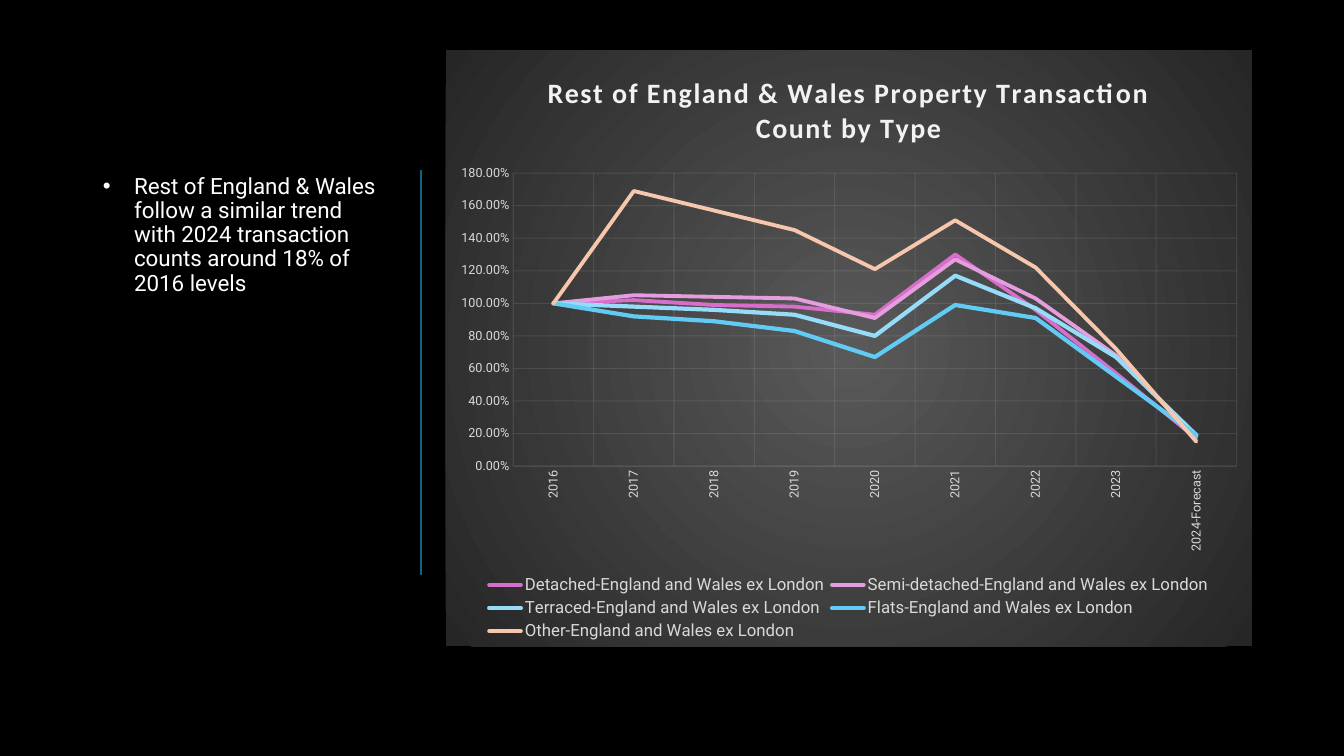
import lxml.etree
import pptx
import pptx.chart.data
import pptx.dml.color
import pptx.enum.chart
import pptx.enum.text
import pptx.oxml
import pptx.oxml.ns
import pptx.util

RGBColor = pptx.dml.color.RGBColor
BLACK = RGBColor(0x00, 0x00, 0x00)
WHITE = RGBColor(0xFF, 0xFF, 0xFF)
RULE_BLUE = RGBColor(0x15, 0x60, 0x82)
PALE = RGBColor(0xF2, 0xF2, 0xF2)
LABEL_GREY = RGBColor(0xD9, 0xD9, 0xD9)

WIDTH = pptx.util.Inches(13.33)
HEIGHT = pptx.util.Inches(7.5)
NOTE_BOX = (0.069, 0.225, 0.225, 0.536)
RULE_BOX = (0.3135, 0.225, 0, 0.535)
CHART_BOX = (0.3315, 0.0667, 0.6, 0.788)
PLOT_AREA = (0.084, 0.206, 0.897, 0.492)
LEGEND_AREA = (0.045, 0.875, 0.91, 0.122)

NOTE = ("Rest of England & Wales follow a similar trend with 2024 "
        "transaction counts around 18% of 2016 levels")
TITLE = "Rest of England & Wales Property Transaction Count by Type"
YEARS = [str(year) for year in range(2016, 2024)] + ["2024-Forecast"]
REGION = "England and Wales ex London"
SERIES = [
    ("Detached", RGBColor(0xD8, 0x6E, 0xCC), 2.75,
     (1, 1.02, 0.99, 0.98, 0.93, 1.3, 0.96, 0.57, 0.17)),
    ("Semi-detached", RGBColor(0xE5, 0x9E, 0xDD), 2.75,
     (1, 1.05, 1.04, 1.03, 0.91, 1.27, 1.03, 0.68, 0.18)),
    ("Terraced", RGBColor(0x96, 0xDC, 0xF8), 3,
     (1, 0.98, 0.96, 0.93, 0.8, 1.17, 0.97, 0.67, 0.19)),
    ("Flats", RGBColor(0x61, 0xCB, 0xF4), 3,
     (1, 0.92, 0.89, 0.83, 0.67, 0.99, 0.91, 0.55, 0.19)),
    ("Other", RGBColor(0xF6, 0xC6, 0xAD), 2.75,
     (1, 1.69, 1.57, 1.45, 1.21, 1.51, 1.22, 0.72, 0.15)),
]


def apply(target, values):
    """Set each attribute named in a dict of format values."""
    for name, value in values.items():
        setattr(target, name, value)


def style_font(font, size, color, name="Roboto", bold=False):
    """Give a font its face, size, weight and colour."""
    apply(font, {"name": name, "size": pptx.util.Pt(size), "bold": bold})
    font.color.rgb = color


def scale(box):
    """Turn shares of the slide into lengths."""
    return [round(share * side)
            for share, side in zip(box, (WIDTH, HEIGHT, WIDTH, HEIGHT))]


def faint_line(line):
    """Draw a thin, mostly transparent pale line."""
    line.width = pptx.util.Pt(0.75)
    line.color.rgb = PALE
    color = next(line._ln.iter(pptx.oxml.ns.qn("a:srgbClr")))
    lxml.etree.SubElement(color, pptx.oxml.ns.qn("a:alpha"), val="10000")


def set_layout(element, position, area, inner=False):
    """Fix a chart part at shares of the chart's size."""
    for old in element.findall(pptx.oxml.ns.qn("c:layout")):
        element.remove(old)
    layout = lxml.etree.Element(pptx.oxml.ns.qn("c:layout"))
    manual = lxml.etree.SubElement(layout, pptx.oxml.ns.qn("c:manualLayout"))
    entries = [("layoutTarget", "inner")] if inner else []
    entries += [("xMode", "edge"), ("yMode", "edge")]
    entries += zip("xywh", map(str, area))
    for tag, value in entries:
        lxml.etree.SubElement(manual, pptx.oxml.ns.qn("c:" + tag), val=value)
    element.insert(position, layout)


def fill_background(chart):
    """Give the chart a radial grey gradient."""
    chart_part = chart._chartSpace.find(pptx.oxml.ns.qn("c:chart"))
    chart_part.addnext(pptx.oxml.parse_xml(
        f'<c:spPr {pptx.oxml.ns.nsdecls("c", "a")}><a:gradFill><a:gsLst>'
        '<a:gs pos="0"><a:srgbClr val="595959"/></a:gs>'
        '<a:gs pos="100000"><a:srgbClr val="262626"/></a:gs></a:gsLst>'
        '<a:path path="circle"><a:fillToRect l="50000" t="50000" r="50000" '
        'b="50000"/></a:path></a:gradFill><a:ln><a:noFill/></a:ln></c:spPr>'))


def add_note(slide, box):
    """Place the bulleted comment in the body placeholder."""
    body = slide.placeholders[1]
    apply(body, dict(zip(("left", "top", "width", "height"), scale(box))))
    body.text_frame.auto_size = pptx.enum.text.MSO_AUTO_SIZE.NONE
    para = body.text_frame.paragraphs[0]
    apply(para, {"line_spacing": 0.9, "space_before": pptx.util.Pt(10)})
    indent = pptx.util.Inches(0.31)
    properties = para._p.get_or_add_pPr()
    properties.set("marL", str(indent))
    properties.set("indent", str(-indent))
    lxml.etree.SubElement(properties, pptx.oxml.ns.qn("a:buFont"), typeface="Arial")
    lxml.etree.SubElement(properties, pptx.oxml.ns.qn("a:buChar"), char="•")
    span = para.add_run()
    span.text = NOTE
    style_font(span.font, 16, WHITE)


def add_rule(slide, box):
    """Draw the vertical line between comment and chart."""
    left, top, width, height = scale(box)
    rule = slide.shapes.add_connector(1, left, top, left + width, top + height)
    rule.line.color.rgb = RULE_BLUE
    rule.line.width = pptx.util.Pt(1.5)
    lxml.etree.SubElement(rule._element.spPr, pptx.oxml.ns.qn("a:effectLst"))


def style_axes(chart):
    """Format both axes and their gridlines."""
    for axis in (chart.category_axis, chart.value_axis):
        apply(axis, {"has_major_gridlines": True,
                     "major_tick_mark": pptx.enum.chart.XL_TICK_MARK.NONE,
                     "minor_tick_mark": pptx.enum.chart.XL_TICK_MARK.NONE})
        faint_line(axis.major_gridlines.format.line)
        style_font(axis.tick_labels.font, 9, LABEL_GREY)
    faint_line(chart.category_axis.format.line)
    text = chart.category_axis._element.find(pptx.oxml.ns.qn("c:txPr"))
    text.find(pptx.oxml.ns.qn("a:bodyPr")).set("rot", "-5400000")
    chart.value_axis.format.line.fill.background()
    apply(chart.value_axis, {"minimum_scale": 0, "maximum_scale": 1.8,
                             "major_unit": 0.2})
    apply(chart.value_axis.tick_labels, {"number_format": "0.00%",
                                         "number_format_is_linked": False})


def add_trend_chart(slide, box):
    """Add the line chart of transactions by property type."""
    data = pptx.chart.data.CategoryChartData(number_format="0.00%")
    data.categories = YEARS
    for kind, color, weight, values in SERIES:
        data.add_series(f"{kind}-{REGION}", values)
    chart = slide.shapes.add_chart(
        pptx.enum.chart.XL_CHART_TYPE.LINE, *scale(box), data).chart
    style_font(chart.font, 10, WHITE)
    fill_background(chart)
    chart.plots[0].vary_by_categories = False
    for series, (kind, color, weight, values) in zip(chart.plots[0].series, SERIES):
        series.smooth = False
        series.marker.style = pptx.enum.chart.XL_MARKER_STYLE.NONE
        series.format.line.color.rgb = color
        series.format.line.width = pptx.util.Pt(weight)
        series.format.line._ln.set("cap", "rnd")
    style_axes(chart)
    chart.has_title = True
    para = chart.chart_title.text_frame.paragraphs[0]
    span = para.add_run()
    span.text = TITLE
    style_font(span.font, 20, PALE, "Calibri", True)
    span.font._element.set("spc", "100")
    chart.has_legend = True
    apply(chart.legend, {"position": pptx.enum.chart.XL_LEGEND_POSITION.BOTTOM,
                         "include_in_layout": False})
    style_font(chart.legend.font, 12, LABEL_GREY)
    set_layout(chart.legend._element, 1, LEGEND_AREA)
    set_layout(chart._chartSpace.chart.plotArea, 0, PLOT_AREA, inner=True)


def add_trend_slide(deck):
    """Build the slide with a comment beside a chart."""
    slide = deck.slides.add_slide(deck.slide_layouts[1])
    title = slide.shapes.title._element
    title.getparent().remove(title)
    slide.background.fill.solid()
    slide.background.fill.fore_color.rgb = BLACK
    add_rule(slide, RULE_BOX)
    add_note(slide, NOTE_BOX)
    add_trend_chart(slide, CHART_BOX)


def main():
    """Create and save the deck."""
    deck = pptx.Presentation()
    apply(deck, {"slide_width": WIDTH, "slide_height": HEIGHT})
    add_trend_slide(deck)
    deck.save("out.pptx")


if __name__ == "__main__":
    main()
